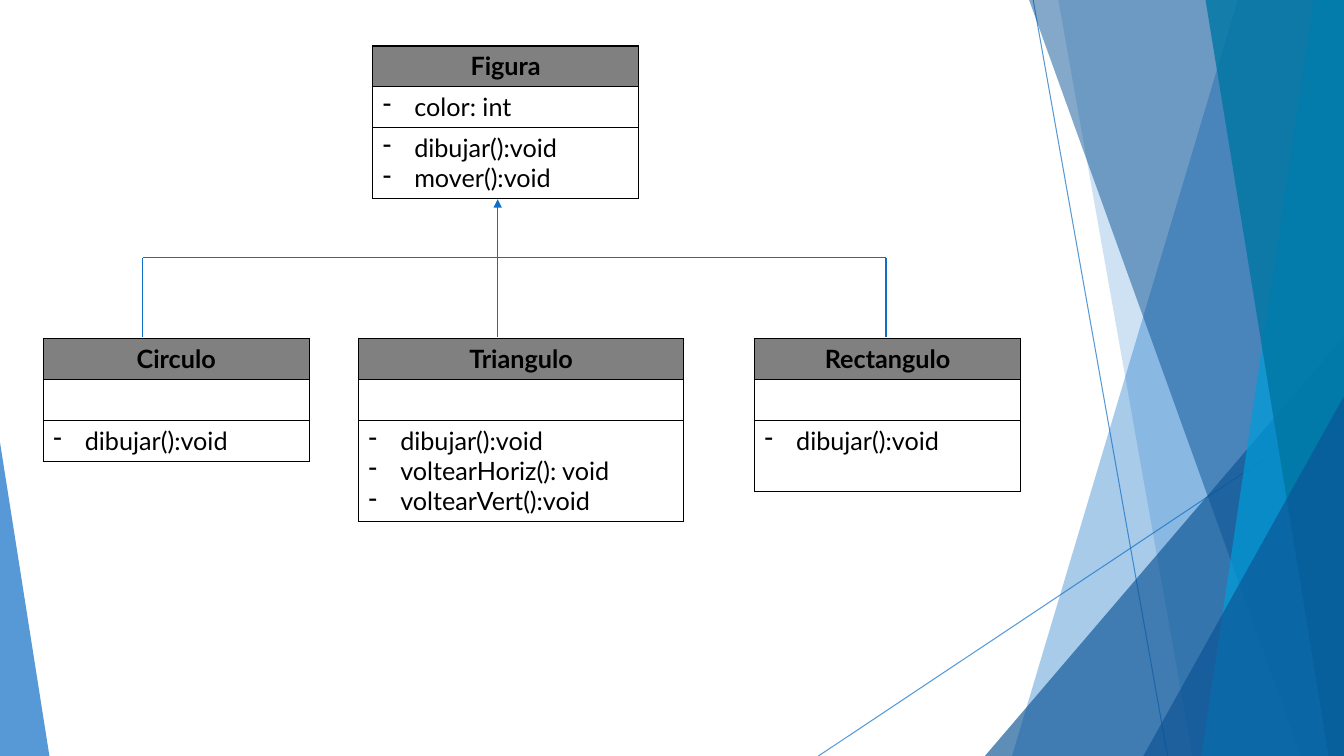
from lxml import etree
from pptx import Presentation
from pptx.dml.color import RGBColor
from pptx.enum.shapes import MSO_CONNECTOR, MSO_SHAPE
from pptx.enum.text import PP_ALIGN
from pptx.oxml.ns import qn
from pptx.util import Pt

STRAIGHT = MSO_CONNECTOR.STRAIGHT
TRIANGLE = MSO_SHAPE.ISOSCELES_TRIANGLE
CENTER = PP_ALIGN.CENTER

BLACK = RGBColor(0x00, 0x00, 0x00)
GRAY = RGBColor(0x80, 0x80, 0x80)
BLUE = RGBColor(0x0F, 0x6F, 0xC6)
NAVY = RGBColor(0x0B, 0x53, 0x94)
CYAN = RGBColor(0x00, 0x9D, 0xD9)
TEAL = RGBColor(0x00, 0x76, 0xA3)

WIDTH, HEIGHT = 960, 540
ROW_HEIGHT = 29.2
LINE_HEIGHT = 21.6
INDENT = 22.5


class ClassDiagram:
    font_name = "Lato"
    font_size = Pt(18)

    def __init__(self, slide):
        self.slide = slide
        self.shapes = slide.shapes

    def set_opacity(self, shape, percent):
        color = next(shape._element.spPr.iter(qn("a:srgbClr")))
        etree.SubElement(color, qn("a:alpha"), val=str(percent * 1000))

    def paint(self, shape, color, opacity):
        shape.shadow.inherit = False
        shape.fill.solid()
        shape.fill.fore_color.rgb = color
        shape.line.fill.background()
        self.set_opacity(shape, opacity)

    def band(self, top_left, bottom_left, color, opacity):
        builder = self.shapes.build_freeform(Pt(top_left), 0)
        corners = [(WIDTH, 0), (WIDTH, HEIGHT), (bottom_left, HEIGHT)]
        builder.add_line_segments([(Pt(x), Pt(y)) for x, y in corners], close=True)
        self.paint(builder.convert_to_shape(), color, opacity)

    def corner(self, left, top, width, apex, color, opacity):
        shape = self.shapes.add_shape(
            TRIANGLE, Pt(left), Pt(top), Pt(width), Pt(HEIGHT - top))
        shape.adjustments[0] = apex
        self.paint(shape, color, opacity)

    def line(self, start, end, width=1, opacity=100, arrow=False):
        connector = self.shapes.add_connector(
            STRAIGHT, *[Pt(value) for value in (*start, *end)])
        connector.line.color.rgb = BLUE
        connector.line.width = Pt(width)
        properties = connector._element.spPr
        if opacity < 100:
            self.set_opacity(connector, opacity)
        if arrow:
            etree.SubElement(properties.find(qn("a:ln")), qn("a:tailEnd"), type="triangle")
        etree.SubElement(properties, qn("a:effectLst"))

    def border(self, cell):
        properties = cell._tc.get_or_add_tcPr()
        for position, side in enumerate(("a:lnL", "a:lnR", "a:lnT", "a:lnB")):
            edge = etree.Element(qn(side), w=str(Pt(1)))
            fill = etree.SubElement(edge, qn("a:solidFill"))
            etree.SubElement(fill, qn("a:srgbClr"), val=str(BLACK))
            properties.insert(position, edge)

    def label(self, paragraph, text, bold):
        paragraph.text = text
        font = paragraph.font
        font.name = self.font_name
        font.size = self.font_size
        font.bold = bold
        font.color.rgb = BLACK

    def bullets(self, cell, items):
        frame = cell.text_frame
        for index, item in enumerate(items):
            paragraph = frame.add_paragraph() if index else frame.paragraphs[0]
            properties = paragraph._p.get_or_add_pPr()
            properties.set("marL", str(Pt(INDENT)))
            properties.set("indent", str(-Pt(INDENT)))
            etree.SubElement(properties, qn("a:buChar"), char="-")
            self.label(paragraph, item, False)

    def class_box(self, left, top, width, name, attributes, methods, lines):
        heights = [ROW_HEIGHT, ROW_HEIGHT, ROW_HEIGHT + (lines - 1) * LINE_HEIGHT]
        table = self.shapes.add_table(
            3, 1, Pt(left), Pt(top), Pt(width), Pt(sum(heights))).table
        table.first_row = False
        table.horz_banding = False
        for row, height in zip(table.rows, heights):
            row.height = Pt(height)
            cell = row.cells[0]
            cell.fill.background()
            self.border(cell)
        header = table.cell(0, 0)
        header.fill.solid()
        header.fill.fore_color.rgb = GRAY
        title = header.text_frame.paragraphs[0]
        title.alignment = CENTER
        self.label(title, name, True)
        self.bullets(table.cell(1, 0), attributes)
        self.bullets(table.cell(2, 0), methods)


def main():
    presentation = Presentation()
    presentation.slide_width = Pt(WIDTH)
    presentation.slide_height = Pt(HEIGHT)
    slide = presentation.slides.add_slide(presentation.slide_layouts[6])
    diagram = ClassDiagram(slide)

    diagram.line((738, 0), (834, HEIGHT), 0.75, 70)
    diagram.line((WIDTH, 290), (584.6, HEIGHT), 0.75, 70)
    diagram.band(884.2, 722.9, BLUE, 36)
    diagram.band(756, 851.8, BLUE, 20)
    diagram.corner(703.5, 240, 256.5, 1, NAVY, 66)
    diagram.band(735.1, 929.5, NAVY, 50)
    diagram.band(938.2, 858.2, CYAN, 70)
    diagram.band(861.1, 949, TEAL, 80)
    diagram.corner(816.7, 283, 143.3, 1, NAVY, 66)
    diagram.corner(0, 316, 35.3, 0, BLUE, 70)

    subclass_top = 241.9
    diagram.class_box(266.2, 32.8, 190, "Figura", ["color: int"],
                      ["dibujar():void", "mover():void"], 2)
    subclasses = [
        (30.9, 190, "Circulo", ["dibujar():void"], 1),
        (256.2, 232, "Triangulo",
         ["dibujar():void", "voltearHoriz(): void", "voltearVert():void"], 3),
        (539, 190, "Rectangulo", ["dibujar():void"], 2),
    ]
    for left, width, name, methods, lines in subclasses:
        diagram.class_box(left, subclass_top, width, name, [], methods, lines)

    branch_left, branch_right, branch_top, branch_bottom = 102, 633, 184, 240.7
    diagram.line((355.5, branch_bottom), (355.5, 142.4), arrow=True)
    diagram.line((branch_left, branch_top), (branch_right, branch_top))
    for x in (branch_left, branch_right):
        diagram.line((x, branch_top), (x, branch_bottom))

    presentation.save("out.pptx")


if __name__ == "__main__":
    main()
